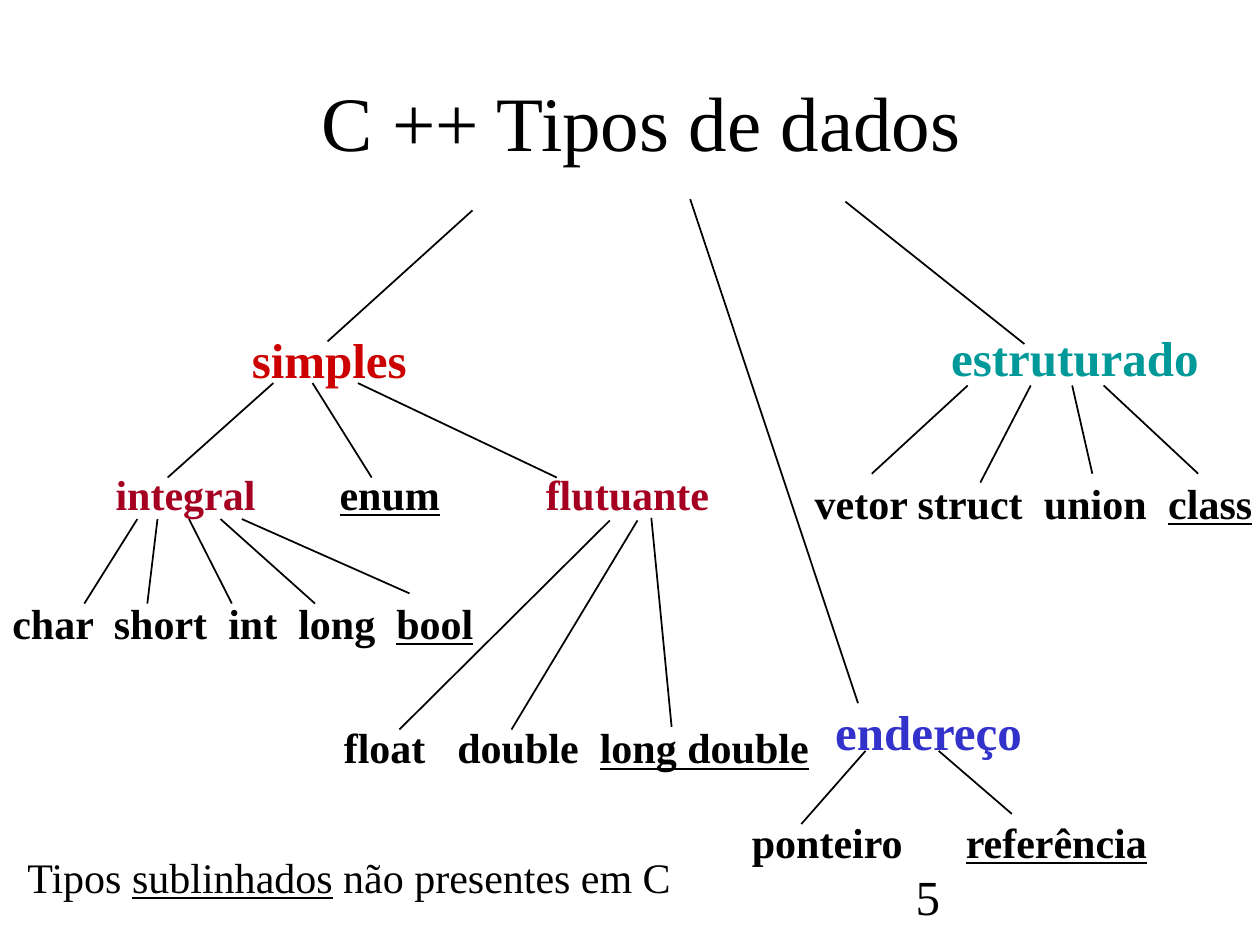
import pptx
import pptx.dml.color
import pptx.enum.shapes
import pptx.enum.text
import pptx.oxml.ns
import pptx.util
from lxml import etree

Pt = pptx.util.Pt
qn = pptx.oxml.ns.qn

FONT = "Times New Roman"
BLACK, RED, WINE, TEAL, BLUE = "000000", "CC0000", "A50021", "009999", "3333CC"

# text, (left, top, width, height), size, colour; _word_ is underlined and black
TITLE = ("C ++ Tipos de dados", (60.5, 23.8, 612, 90), 44, BLACK)
PLAIN = [
    ("Tipos _sublinhados_ não presentes em C", (8.6, 483.1, 386, 36), 24, BLACK),
    ("5", (516.2, 491.8, 150, 36), 28, BLACK),
]

# text, (left, top, width, height), size, colour, tab stops
TYPES = [
    ("simples", (136.8, 185, 104.4, 41), 28, RED, []),
    ("estruturado", (536.4, 183.6, 157.7, 41), 28, TEAL, []),
    ("endereço", (470.2, 397.4, 122.4, 41), 28, BLUE, []),
    ("integral\t_enum_", (59, 264.2, 202, 36.7), 24, WINE, [128]),
    ("flutuante", (304.8, 264.2, 109.2, 36.7), 24, WINE, []),
    ("char\tshort\tint\tlong\t_bool_", (0, 337.7, 280.8, 36.7), 24, BLACK,
     [58, 123.4, 163.4, 219.4]),
    ("float\tdouble\t_long double_", (189.4, 409, 283, 36.7), 24, BLACK,
     [64.9, 146.3]),
    ("vetor struct\tunion\t_class_", (458.5, 269.3, 266.5, 36.7), 24, BLACK,
     [131, 202]),
    ("ponteiro\t_referência_", (422.6, 463, 242.6, 36.7), 24, BLACK, [122.3]),
]

# parent: start x, start y, end x, end y of each branch
BRANCHES = {
    "dados": [(270, 120.2, 187.2, 195.1), (394.4, 113.8, 490.3, 401.8),
              (483.1, 115.2, 585.4, 196.6)],
    "simples": [(156.2, 218.9, 95.8, 272.9), (178.6, 218.9, 212.4, 272.9),
                (204.5, 218.9, 318.2, 272.9)],
    "integral": [(78.5, 296.6, 48.2, 344.9), (90, 296.6, 84.2, 344.9),
                 (108, 296.6, 132.5, 344.9), (126, 296.6, 180, 344.9),
                 (138.2, 296.6, 234, 339.1)],
    "flutuante": [(348.5, 297.4, 228.2, 416.9), (364.3, 297.4, 292.3, 416.9),
                  (372.2, 295.9, 383.8, 415.4)],
    "estruturado": [(553, 220.3, 498.2, 270.7), (589, 220.3, 560.2, 275.8),
                    (612.7, 220.3, 624.2, 270.7), (630.7, 220.3, 684.7, 270.7)],
    "endereço": [(494.6, 429.1, 457.9, 470.9), (536.4, 429.1, 578.2, 465.1)],
}


def rgb(value):
    return pptx.dml.color.RGBColor.from_string(value)


def add_text(s, text, box, size, color, stops=(), bold=False):
    sp = s.shapes.add_textbox(*map(Pt, box))
    tf = sp.text_frame
    tf.word_wrap = True
    tf.margin_right = 0
    p = tf.paragraphs[0]
    p.font.name, p.font.size, p.font.bold = FONT, Pt(size), bold
    p.font.color.rgb = rgb(color)
    for i, part in enumerate(text.split("_")):
        if part:
            r = p.add_run()
            r.text = part
            if i % 2:
                r.font.underline = True
                r.font.color.rgb = rgb(BLACK)
    if stops:
        props = p._p.get_or_add_pPr()
        tabs = etree.SubElement(props, qn("a:tabLst"))
        for stop in stops:
            etree.SubElement(tabs, qn("a:tab"), pos=str(int(Pt(stop))), algn="l")
        props.insert(0, tabs)
    return tf


def add_branch(s, ends):
    line = s.shapes.add_connector(pptx.enum.shapes.MSO_CONNECTOR.STRAIGHT,
                                  *map(Pt, ends))
    line.line.color.rgb = rgb(BLACK)
    line.line.width = Pt(1)
    etree.SubElement(line._element.spPr, qn("a:effectLst"))


prs = pptx.Presentation()
prs.slide_width, prs.slide_height = Pt(720), Pt(540)
s = prs.slides.add_slide(prs.slide_layouts[6])

tf = add_text(s, *TITLE)
tf.margin_right = tf.margin_left
tf.vertical_anchor = pptx.enum.text.MSO_ANCHOR.MIDDLE
tf.paragraphs[0].alignment = pptx.enum.text.PP_ALIGN.CENTER

for branches in BRANCHES.values():
    for ends in branches:
        add_branch(s, ends)
for label in TYPES:
    add_text(s, *label, bold=True)
for label in PLAIN:
    add_text(s, *label)

prs.save("out.pptx")
